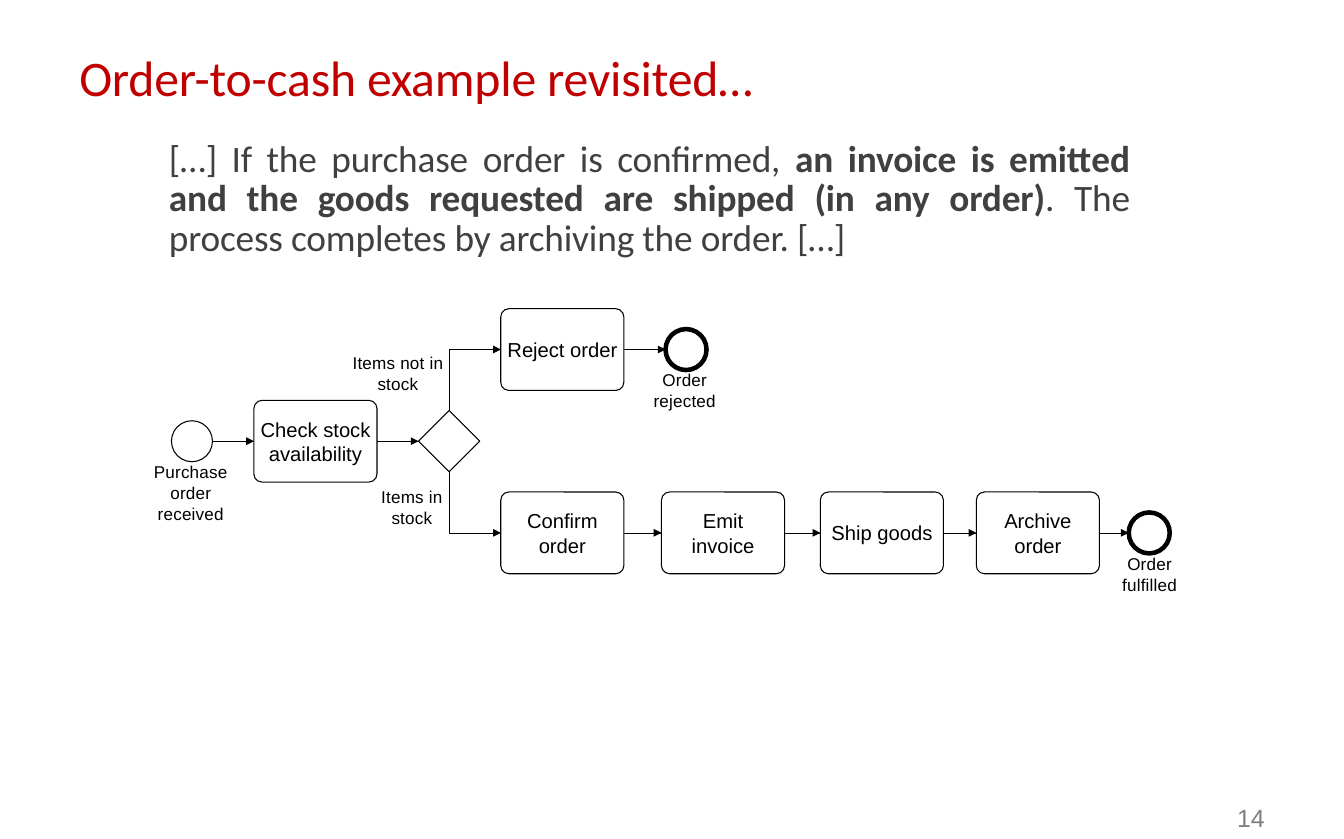
from itertools import pairwise

from lxml.etree import SubElement
from pptx import Presentation
from pptx.dml.color import RGBColor
from pptx.enum.shapes import MSO_CONNECTOR, MSO_SHAPE
from pptx.enum.text import MSO_ANCHOR as Anchor, PP_ALIGN as Align
from pptx.oxml.ns import qn
from pptx.util import Pt

RED = RGBColor(0xC0, 0x00, 0x00)
DARK = RGBColor(0x40, 0x40, 0x40)
GRAY = RGBColor(0x7F, 0x7F, 0x7F)
BLACK = RGBColor(0x00, 0x00, 0x00)

TASK_WIDTH, TASK_HEIGHT = 79.2, 52.6
EVENT_SIZE, GATEWAY_SIZE, HEAD_SIZE = 26.4, 39.4, 5
UPPER, MIDDLE, LOWER = 225, 284, 343
LEFT, RIGHT = 1, 3


def write(paragraph, text, size=13, font="Arial", color=BLACK, bold=False,
          spacing=0, align=Align.LEFT):
    """Add a run; spacing is the letter spacing in points."""
    paragraph.alignment = align
    run = paragraph.add_run()
    run.text = text
    run.font.size = Pt(size)
    run.font.name = font
    run.font.bold = bold
    run.font.color.rgb = color
    if spacing:
        run.font._element.set("spc", str(round(spacing * 100)))


def set_frame(frame, anchor=Anchor.TOP, wrap=True):
    frame.margin_left = frame.margin_right = 0
    frame.margin_top = frame.margin_bottom = 0
    frame.vertical_anchor = anchor
    frame.word_wrap = wrap
    return frame


def write_lines(frame, text, line_spacing=1.0, **style):
    for number, line in enumerate(text.split("\n")):
        paragraph = frame.add_paragraph() if number else frame.paragraphs[0]
        paragraph.line_spacing = line_spacing
        write(paragraph, line, align=Align.CENTER, **style)


def is_event(shape):
    return shape.auto_shape_type == MSO_SHAPE.OVAL


class ProcessSlide:
    def __init__(self, slide, thin=0.35, outline=0.67, thick=2.91):
        self.shapes = slide.shapes
        self.thin, self.outline, self.thick = thin, outline, thick

    def title(self, text, left, top, width, height):
        title = self.shapes.title
        title.left, title.top = Pt(left), Pt(top)
        title.width, title.height = Pt(width), Pt(height)
        paragraph = set_frame(title.text_frame).paragraphs[0]
        paragraph.space_before = Pt(1)
        write(paragraph, text, size=32, font="Calibri", color=RED, spacing=-0.15)

    def text_box(self, left, top, width, height, wrap=True):
        box = self.shapes.add_textbox(Pt(left), Pt(top), Pt(width), Pt(height))
        return set_frame(box.text_frame, wrap=wrap)

    def label(self, text, center, top):
        frame = self.text_box(center - 30, top, 60, 28, wrap=False)
        write_lines(frame, text, line_spacing=1.01, size=11, spacing=0.1)

    def node(self, kind, center, middle, width, height, weight):
        shape = self.shapes.add_shape(kind, Pt(center - width / 2), Pt(middle - height / 2),
                                      Pt(width), Pt(height))
        shape.shadow.inherit = False
        shape.fill.background()
        shape.line.color.rgb = BLACK
        shape.line.width = Pt(weight)
        return shape

    def task(self, text, center, middle):
        task = self.node(MSO_SHAPE.ROUNDED_RECTANGLE, center, middle,
                         TASK_WIDTH, TASK_HEIGHT, self.outline)
        task.adjustments[0] = 0.1
        write_lines(set_frame(task.text_frame, Anchor.MIDDLE, wrap=False), text)
        return task

    def event(self, center, middle, final=False):
        weight = self.thick if final else self.outline
        return self.node(MSO_SHAPE.OVAL, center, middle, EVENT_SIZE, EVENT_SIZE, weight)

    def gateway(self, center, middle):
        return self.node(MSO_SHAPE.DIAMOND, center, middle,
                         GATEWAY_SIZE, GATEWAY_SIZE, self.outline)

    def arrowhead(self, target, middle):
        """Point a small triangle at the left side of the target."""
        head = self.node(MSO_SHAPE.ISOSCELES_TRIANGLE, target.left.pt - HEAD_SIZE / 2, middle,
                         HEAD_SIZE, HEAD_SIZE, self.thin)
        head.rotation = 90
        head.fill.solid()
        head.fill.fore_color.rgb = BLACK
        head.line.fill.background()

    def flow(self, source, target, middle):
        """Draw a straight arrow; only tasks and gateways are joined to it."""
        line = self.shapes.add_connector(MSO_CONNECTOR.STRAIGHT,
                                         source.left + source.width, Pt(middle),
                                         target.left, Pt(middle))
        line.line.color.rgb = BLACK
        line.line.width = Pt(self.thin)
        SubElement(line._element.spPr, qn("a:effectLst"))
        if not is_event(source):
            line.begin_connect(source, RIGHT)
        if not is_event(target):
            line.end_connect(target, LEFT)
        self.arrowhead(target, middle)

    def branch(self, gateway, target, middle):
        """Draw a bent arrow from the gateway's upper or lower corner."""
        x = gateway.left + gateway.width // 2
        up = target.top < gateway.top
        start = gateway.top if up else gateway.top + gateway.height
        builder = self.shapes.build_freeform(x, start)
        builder.add_line_segments([(x, Pt(middle)), (target.left - Pt(HEAD_SIZE), Pt(middle))],
                                  close=False)
        line = builder.convert_to_shape()
        line.shadow.inherit = False
        line.fill.background()
        line.line.color.rgb = BLACK
        line.line.width = Pt(self.thin)
        self.arrowhead(target, middle)


def add_text(page):
    page.title("Order-to-cash example revisited…", 51, 29.8, 440, 40.3)
    paragraph = page.text_box(108.7, 90.7, 618.3, 77).paragraphs[0]
    paragraph.line_spacing = 0.88
    paragraph.space_before = Pt(4.3)
    for text, bold in (
        ("[…] If the purchase order is confirmed, ", False),
        ("an invoice is emitted and the goods requested are shipped (in any order)", True),
        (". The process completes by archiving the order. […]", False),
    ):
        write(paragraph, text, size=24, font="Calibri", color=DARK, bold=bold,
              spacing=-0.1, align=Align.JUSTIFY)
    number = page.text_box(796, 517, 22, 21.6).paragraphs[0]
    number.line_spacing = Pt(18.7)
    write(number, "14", size=16, color=GRAY)


def add_process(page):
    start = page.event(123.5, MIDDLE)
    check = page.task("Check stock\navailability", 203, MIDDLE)
    gateway = page.gateway(289, MIDDLE)
    reject = page.task("Reject order", 361.8, UPPER)
    rejected = page.event(441.4, UPPER, final=True)
    confirm = page.task("Confirm\norder", 361.8, LOWER)
    emit = page.task("Emit\ninvoice", 465.2, LOWER)
    ship = page.task("Ship goods", 567.4, LOWER)
    archive = page.task("Archive\norder", 667.8, LOWER)
    fulfilled = page.event(739.4, LOWER, final=True)

    for middle, steps in (
        (UPPER, (reject, rejected)),
        (MIDDLE, (start, check, gateway)),
        (LOWER, (confirm, emit, ship, archive, fulfilled)),
    ):
        for source, target in pairwise(steps):
            page.flow(source, target, middle)
    page.branch(gateway, reject, UPPER)
    page.branch(gateway, confirm, LOWER)

    for text, center, top in (
        ("Purchase\norder\nreceived", 122.7, 297),
        ("Items not in\nstock", 256, 227),
        ("Items in\nstock", 265, 313),
        ("Order\nrejected", 440.5, 238),
        ("Order\nfulfilled", 739.6, 356),
    ):
        page.label(text, center, top)


def main():
    presentation = Presentation()
    presentation.slide_width, presentation.slide_height = Pt(864.72), Pt(540)
    title_only = presentation.slide_layouts[5]
    page = ProcessSlide(presentation.slides.add_slide(title_only))
    add_text(page)
    add_process(page)
    presentation.save("out.pptx")


if __name__ == "__main__":
    main()
